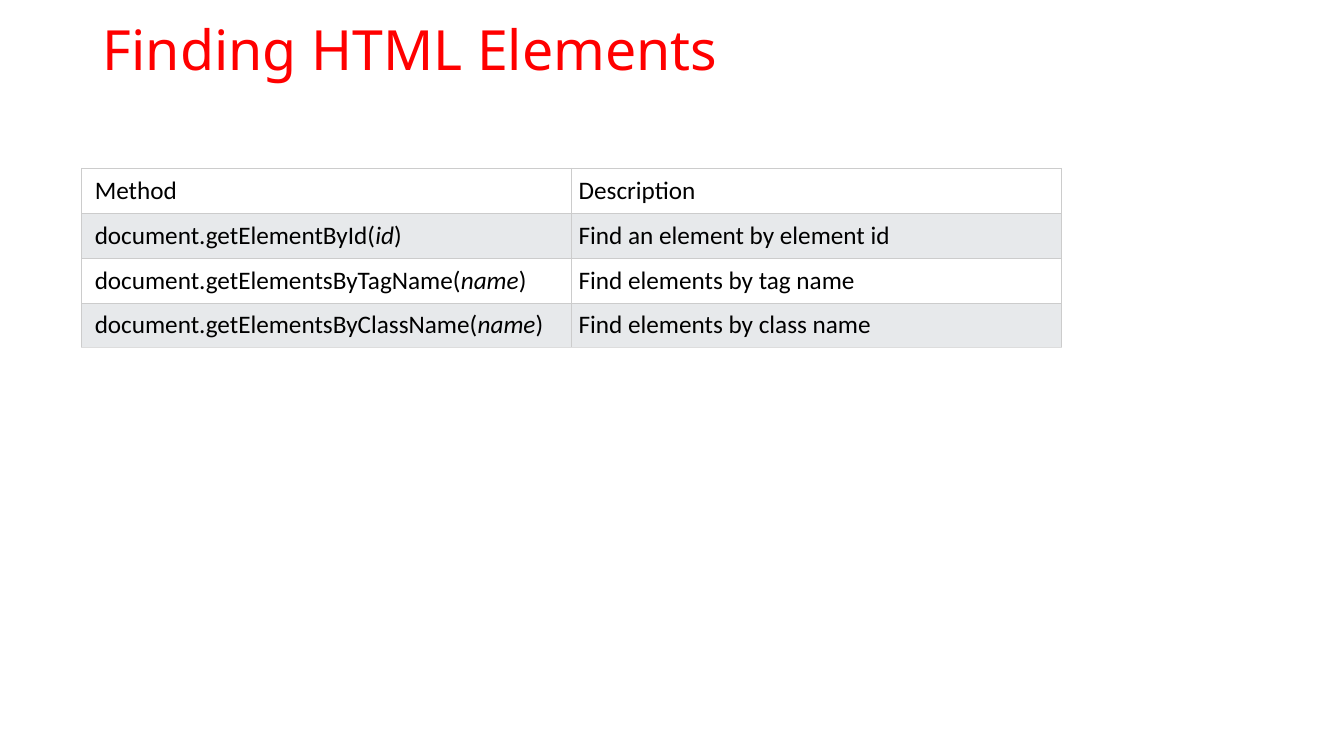
import pptx
import pptx.dml.color
import pptx.enum.text
import pptx.oxml
import pptx.oxml.ns
import pptx.util

Inches, Pt = pptx.util.Inches, pptx.util.Pt
COLORS = {"title": "FF0000", "text": "000000", "plain": "FFFFFF",
          "band": "E7E9EB", "border": "CCCCCC", "last border": "DDDDDD"}

# Each method is split into its call, its argument and the closing bracket
METHODS = [
    (["Method"], "Description"),
    (["document.getElementById(", "id", ")"], "Find an element by element id"),
    (["document.getElementsByTagName(", "name", ")"], "Find elements by tag name"),
    (["document.getElementsByClassName(", "name", ")"], "Find elements by class name"),
]


def rgb(name):
    return pptx.dml.color.RGBColor.from_string(COLORS[name])


def style(paragraph, font_name, size, color):
    paragraph.font.name = font_name
    paragraph.font.size = Pt(size)
    paragraph.font.color.rgb = rgb(color)


def add_borders(cell, bottom):
    properties = cell._tc.get_or_add_tcPr()
    sides = {"lnL": "border", "lnR": "border", "lnT": "border", "lnB": bottom}
    for position, (side, color) in enumerate(sides.items()):
        properties.insert(position, pptx.oxml.parse_xml(
            f'<a:{side} {pptx.oxml.ns.nsdecls("a")} w="{Pt(0.6)}"><a:solidFill>'
            f'<a:srgbClr val="{COLORS[color]}"/></a:solidFill></a:{side}>'))


def place_title(heading, left, top, width, height):
    heading.left, heading.top = Inches(left), Inches(top)
    heading.width, heading.height = Inches(width), Inches(height)
    frame = heading.text_frame
    frame.text = "Finding HTML Elements"
    frame.word_wrap = True
    frame.auto_size = pptx.enum.text.MSO_AUTO_SIZE.NONE
    frame.vertical_anchor = pptx.enum.text.MSO_ANCHOR.MIDDLE
    line = frame.paragraphs[0]
    line.alignment = pptx.enum.text.PP_ALIGN.LEFT
    line.line_spacing = 0.9
    style(line, "Noto Sans", 39.6, "title")


def fill_cell(cell, parts, left_margin, fill, bottom):
    cell.margin_left = Inches(left_margin)
    cell.margin_right = cell.margin_top = cell.margin_bottom = Inches(0.07)
    cell.fill.solid()
    cell.fill.fore_color.rgb = rgb(fill)
    add_borders(cell, bottom)
    line = cell.text_frame.paragraphs[0]
    style(line, "Calibri", 18, "text")
    for position, part in enumerate(parts):
        run = line.add_run()
        run.text = part
        if position == 1:  # the argument
            run.font.italic = True


def add_methods_table(slide, left, top, width, height):
    table = slide.shapes.add_table(len(METHODS), 2, Inches(left), Inches(top),
                                   Inches(width), Inches(height)).table
    table.first_row = table.horz_banding = False
    for index, (method, description) in enumerate(METHODS):
        fill = "band" if index % 2 else "plain"
        bottom = "last border" if index == len(METHODS) - 1 else "border"
        fill_cell(table.cell(index, 0), method, 0.13, fill, bottom)
        fill_cell(table.cell(index, 1), [description], 0.07, fill, bottom)


presentation = pptx.Presentation()
presentation.slide_width, presentation.slide_height = Inches(13.33), Inches(7.5)
slide = presentation.slides.add_slide(presentation.slide_layouts[5])
place_title(slide.shapes.title, 0.92, 0.1, 11.5, 0.85)
add_methods_table(slide, 0.81, 1.67, 9.72, 1.76)
presentation.save("out.pptx")
